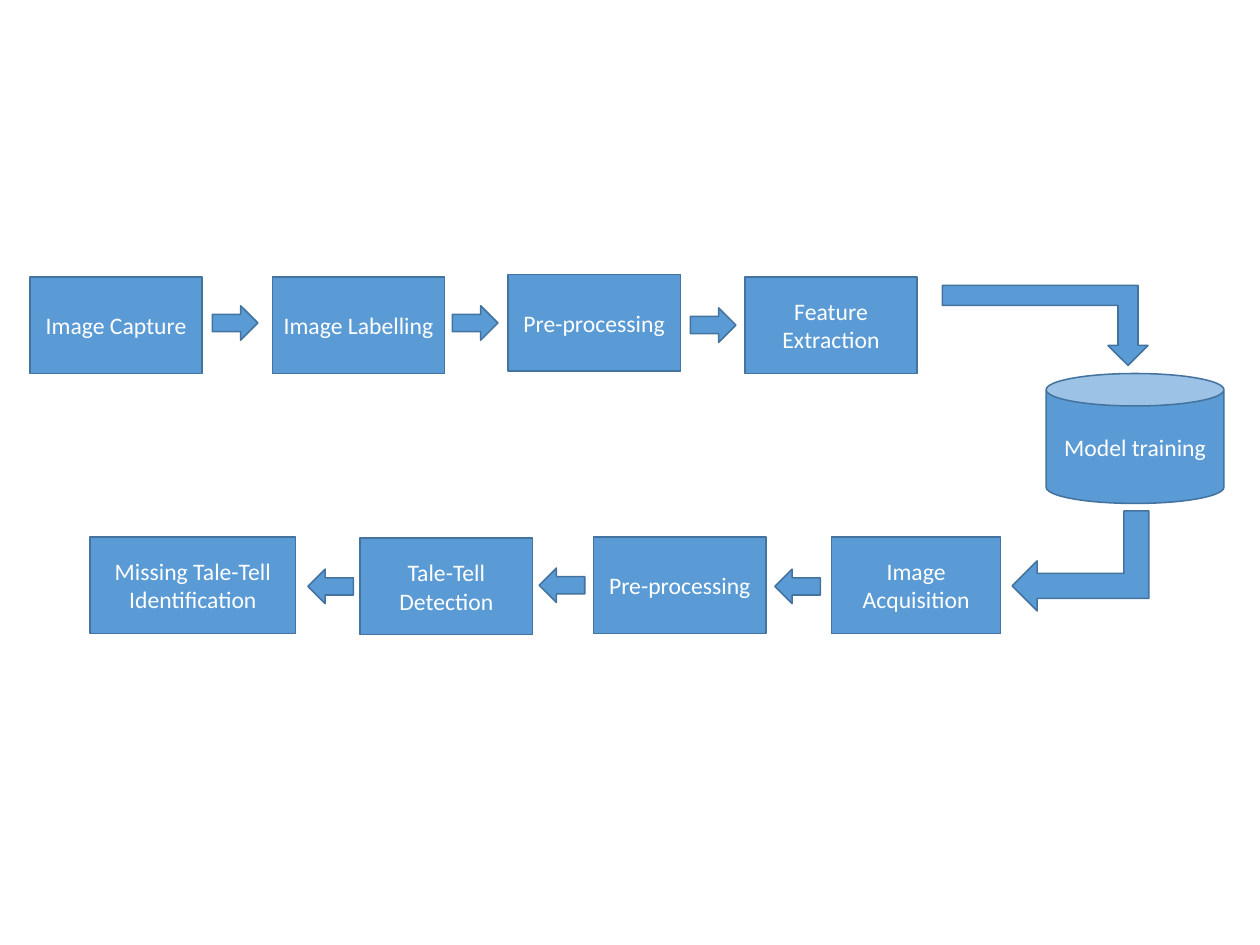
from dataclasses import dataclass

from pptx import Presentation
from pptx.dml.color import RGBColor
from pptx.enum.shapes import MSO_SHAPE as Shape
from pptx.enum.text import MSO_ANCHOR as Anchor, PP_ALIGN as Align
from pptx.util import Pt


@dataclass(frozen=True)
class Theme:
    fill: RGBColor = RGBColor(0x5B, 0x9B, 0xD5)
    line: RGBColor = RGBColor(0x43, 0x73, 0x9E)
    text: RGBColor = RGBColor(0xFF, 0xFF, 0xFF)
    font: str = "Calibri"
    size: float = 15.3
    line_width: float = 1


THEME = Theme()
BOX_W, BOX_H = 111.6, 62.6
ARROW_W, ARROW_H = 29.5, 22.3

# Label, left, top, width
STEPS = [
    ("Image Capture", 19.4, 179.3, BOX_W),
    ("Image Labelling", 176.4, 179.3, BOX_W),
    ("Pre-processing", 329, 177.8, BOX_W),
    ("Feature Extraction", 482.4, 179.3, BOX_W),
    ("Image Acquisition", 538.6, 347.8, 109.4),
    ("Pre-processing", 384.5, 347.8, BOX_W),
    ("Tale-Tell Detection", 233.3, 348.5, BOX_W),
    ("Missing Tale-Tell Identification", 58.3, 347.8, 133.2),
]

# Left, top, rotation
ARROWS = [
    (137.5, 198, 0),
    (293, 198, 0),
    (447.1, 199.4, 0),
    (501.8, 368.6, 180),
    (349.2, 367.9, 180),
    (199.4, 368.6, 180),
]


def add_block(s, kind, left, top, width, height, rotation=0):
    sp = s.shapes.add_shape(kind, Pt(left), Pt(top), Pt(width), Pt(height))
    sp.rotation = rotation
    sp.shadow.inherit = False
    sp.fill.solid()
    sp.fill.fore_color.rgb = THEME.fill
    sp.line.color.rgb = THEME.line
    sp.line.width = Pt(THEME.line_width)
    return sp


def add_step(s, kind, label, left, top, width, height):
    sp = add_block(s, kind, left, top, width, height)
    tf = sp.text_frame
    tf.word_wrap = True
    tf.vertical_anchor = Anchor.MIDDLE
    tf.margin_left = tf.margin_right = Pt(6.1)
    tf.margin_top = tf.margin_bottom = Pt(3.1)
    p = tf.paragraphs[0]
    p.alignment = Align.CENTER
    r = p.add_run()
    r.text = label
    r.font.name = THEME.font
    r.font.size = Pt(THEME.size)
    r.font.color.rgb = THEME.text


def add_bent_arrow(s, left, top, width, height, rotation=0):
    sp = add_block(s, Shape.BENT_UP_ARROW, left, top, width, height, rotation)
    sp._element.spPr.xfrm.set("flipV", "1")


def main():
    prs = Presentation()
    prs.slide_width, prs.slide_height = Pt(816), Pt(612)
    s = prs.slides.add_slide(prs.slide_layouts[6])

    # Training row and detection row
    for label, left, top, width in STEPS:
        add_step(s, Shape.RECTANGLE, label, left, top, width, BOX_H)
    for left, top, rotation in ARROWS:
        add_block(s, Shape.RIGHT_ARROW, left, top, ARROW_W, ARROW_H, rotation)

    # Model store with the arrows into and out of it
    add_step(s, Shape.CAN, "Model training", 677.5, 241.9, 115.2, 84.2)
    add_bent_arrow(s, 610.3, 184.9, 133.2, 51.8)
    add_bent_arrow(s, 667.4, 319, 64.8, 88.6, rotation=90)

    prs.save("out.pptx")


if __name__ == "__main__":
    main()
